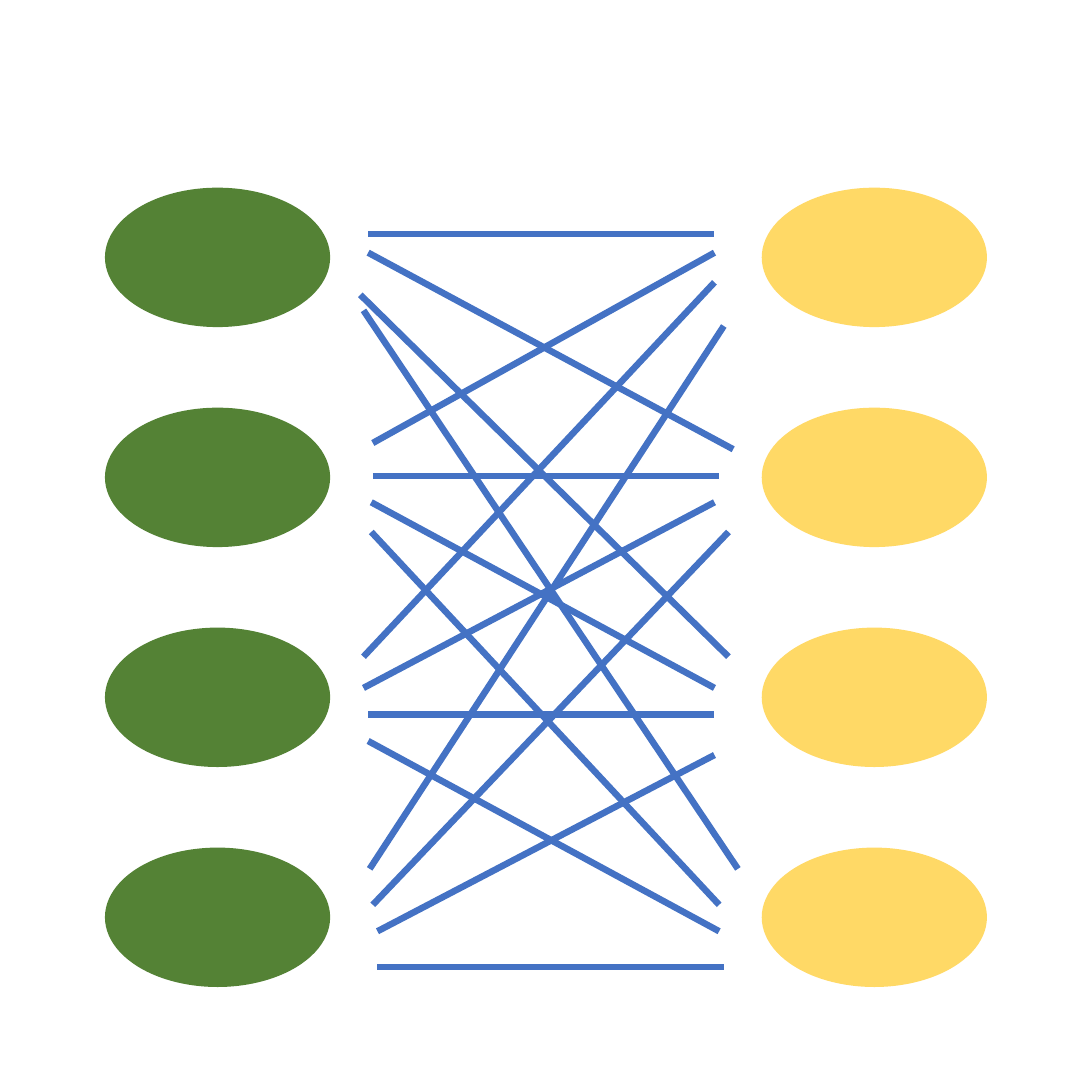
from pptx import Presentation
from pptx.dml.color import RGBColor
from pptx.enum.shapes import MSO_CONNECTOR as Conn, MSO_SHAPE as Shape
from pptx.oxml.ns import qn
from pptx.util import Inches, Pt
from lxml.etree import SubElement as sub

GREEN, GOLD, BLUE = "548235", "FFD966", "4472C4"


def color(code):
    return RGBColor.from_string(code)


class Board:
    """Holds the style and the current slide."""
    edge = {"width": Pt(1)}
    link = {"width": Pt(3)}

    def __init__(self, slide):
        self.shapes = slide.shapes

    def stroke(self, line, code, style):
        line.fill.solid()
        line.fill.fore_color.rgb = color(code)
        for name, value in style.items():
            setattr(line, name, value)

    def node(self, left, top, wide, high, code):
        oval = self.shapes.add_shape(
            Shape.OVAL, *map(Inches, (left, top, wide, high)))
        oval.shadow.inherit = False
        oval.fill.solid()
        oval.fill.fore_color.rgb = color(code)
        self.stroke(oval.line, code, self.edge)

    def join(self, start, end, code):
        line = self.shapes.add_connector(
            Conn.STRAIGHT, *map(Inches, (*start, *end)))
        self.stroke(line.line, code, self.link)
        sub(line._element.spPr, qn("a:effectLst"))


deck = Presentation()
deck.slide_width = deck.slide_height = Inches(7)
board = Board(deck.slides.add_slide(deck.slide_layouts[6]))

# Two layers of four nodes
for left, code in ((0.68, GREEN), (4.89, GOLD)):
    for row in range(4):
        board.node(left, 1.21 + 1.41 * row, 1.43, 0.88, code)

# Links from each green node to every gold node
LINKS = (
    # first green node
    ((2.36, 1.5), (4.58, 1.5)),
    ((2.36, 1.62), (4.7, 2.88)),
    ((2.31, 1.89), (4.67, 4.21)),
    ((2.33, 1.99), (4.73, 5.57)),
    # second green node
    ((2.39, 3.05), (4.61, 3.05)),
    ((2.39, 2.84), (4.58, 1.62)),
    ((2.38, 3.22), (4.58, 4.41)),
    ((2.38, 3.41), (4.61, 5.8)),
    # third green node
    ((2.36, 4.58), (4.58, 4.58)),
    ((2.33, 4.21), (4.58, 1.81)),
    ((2.33, 4.41), (4.58, 3.22)),
    ((2.36, 4.75), (4.61, 5.97)),
    # fourth green node
    ((2.42, 6.2), (4.64, 6.2)),
    ((2.37, 5.57), (4.64, 2.09)),
    ((2.39, 5.8), (4.67, 3.41)),
    ((2.42, 5.97), (4.58, 4.84)),
)
for start, end in LINKS:
    board.join(start, end, BLUE)

deck.save("out.pptx")
